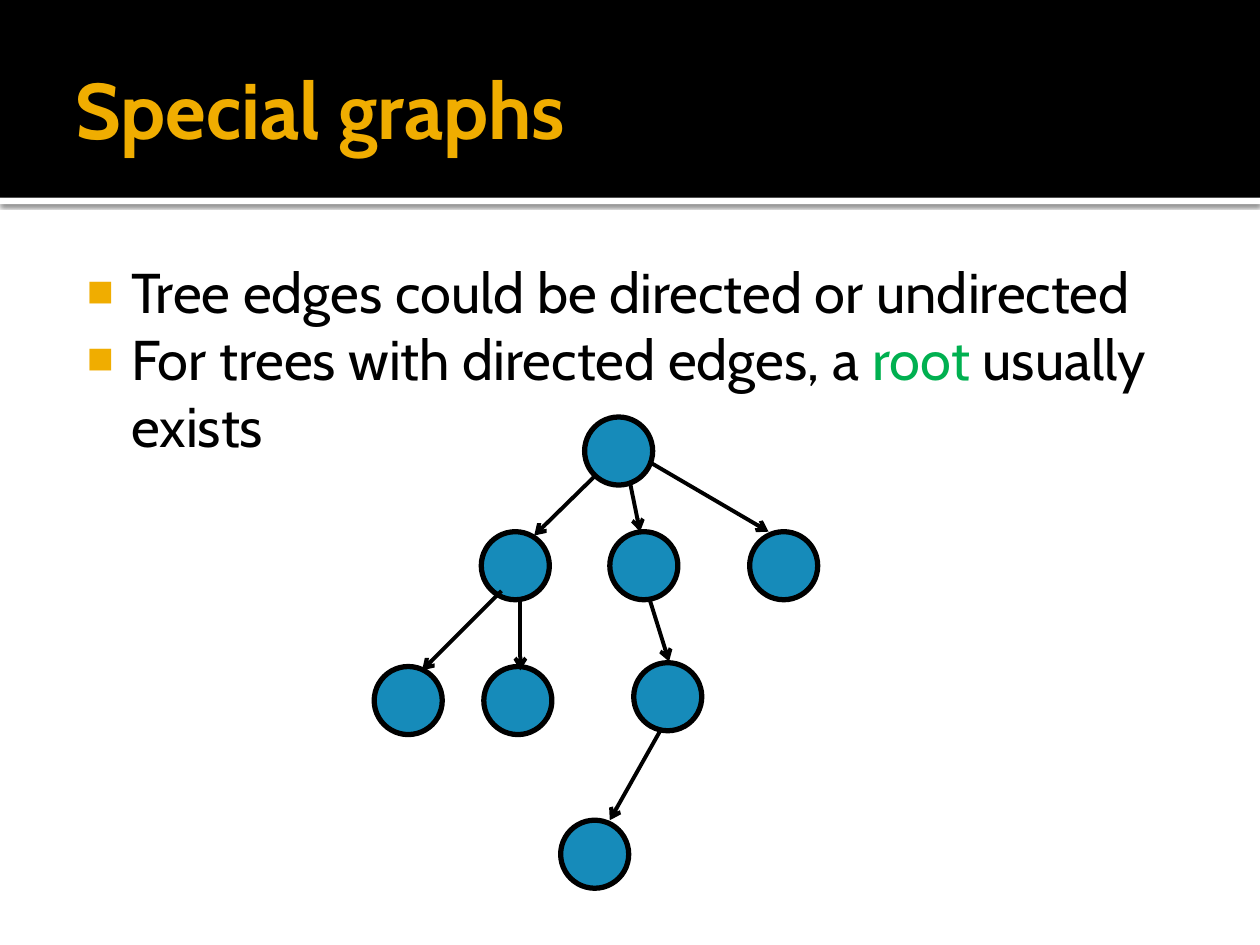
from dataclasses import dataclass

from lxml import etree
from pptx import Presentation
from pptx.dml.color import RGBColor
from pptx.enum.shapes import MSO_CONNECTOR, MSO_SHAPE
from pptx.enum.text import MSO_ANCHOR, MSO_AUTO_SIZE, PP_ALIGN
from pptx.oxml import parse_xml
from pptx.oxml.ns import nsdecls, qn
from pptx.util import Inches, Pt


@dataclass(frozen=True)
class Theme:
    font: str = "Cabin"
    title_size: int = 45
    body_size: int = 32
    accent: str = "F0AD00"
    highlight: str = "00B050"
    node: str = "168BBA"
    black: str = "000000"
    white: str = "FFFFFF"
    node_line: float = 3
    edge_line: float = 2.25


THEME = Theme()
NODE_SIZE = 0.54

BULLETS = [
    [("Tree edges could be directed or undirected", THEME.black)],
    [
        ("For trees with directed edges, a ", THEME.black),
        ("root", THEME.highlight),
        (" usually exists", THEME.black),
    ],
]

# Left and top of each tree node, level by level
NODES = [
    (4.64, 3.31),
    (3.82, 4.22), (4.84, 4.22), (5.95, 4.22),
    (2.97, 5.29), (3.84, 5.29), (5.03, 5.26),
    (4.45, 6.51),
]

# Start and end point of each directed edge
EDGES = [
    ((4.72, 3.78), (4.24, 4.25)),
    ((5, 3.83), (5.08, 4.22)),
    ((5.16, 3.67), (6.1, 4.22)),
    ((3.98, 4.69), (3.35, 5.32)),
    ((4.13, 4.77), (4.13, 5.32)),
    ((5.16, 4.77), (5.31, 5.25)),
    ((5.24, 5.8), (4.84, 6.51)),
]


def color(value):
    return RGBColor.from_string(value)


def add_solid(page, kind, left, top, width, height, fill):
    shape = page.shapes.add_shape(
        kind, Inches(left), Inches(top), Inches(width), Inches(height))
    shape.shadow.inherit = False
    shape.fill.solid()
    shape.fill.fore_color.rgb = color(fill)
    return shape


def add_band(page, top, height, fill, position):
    """Add a full-width bar at the given place in the back of the slide."""
    band = add_solid(page, MSO_SHAPE.RECTANGLE, 0, top, 10, height, fill)
    band.line.fill.background()
    band.element.getparent().insert(position, band.element)
    return band


def add_drop_shadow(shape):
    effects = shape.element.spPr.find(qn("a:effectLst"))
    effects.append(parse_xml(
        f'<a:outerShdw {nsdecls("a")} blurRad="{Pt(2.5)}" dist="{Pt(0.8)}" '
        f'dir="5400000" algn="t" rotWithShape="0"><a:srgbClr val="{THEME.black}">'
        '<a:alpha val="60000"/></a:srgbClr></a:outerShdw>'))


def place_frame(box, bounds, insets, anchor):
    box.left, box.top, box.width, box.height = map(Inches, bounds)
    frame = box.text_frame
    (frame.margin_left, frame.margin_top,
     frame.margin_right, frame.margin_bottom) = map(Inches, insets)
    frame.vertical_anchor = anchor
    frame.word_wrap = True
    frame.auto_size = MSO_AUTO_SIZE.NONE
    return frame


def style_paragraph(para, size, bold=False):
    para.alignment = PP_ALIGN.LEFT
    para.space_before = Pt(0)
    para.font.name = THEME.font
    para.font.size = Pt(size)
    para.font.bold = bold


def add_bullet(para):
    properties = para._p.get_or_add_pPr()
    properties.set("marL", str(Inches(0.48)))
    properties.set("indent", str(Inches(-0.35)))
    bullet_color = etree.SubElement(properties, qn("a:buClr"))
    etree.SubElement(bullet_color, qn("a:srgbClr"), val=THEME.accent)
    etree.SubElement(properties, qn("a:buSzPct"), val="80000")
    etree.SubElement(properties, qn("a:buChar"), char="■")


def write_title(page):
    frame = place_frame(page.shapes.title, (0.5, 0.17, 9, 1.37),
                        (0.1, 0.05, 0.05, 0.05), MSO_ANCHOR.MIDDLE)
    frame.text = "Special graphs"
    para = frame.paragraphs[0]
    style_paragraph(para, THEME.title_size, bold=True)
    para.font.color.rgb = color(THEME.accent)


def write_bullets(page):
    frame = place_frame(page.placeholders[1], (0.5, 1.94, 9, 5.06),
                        (0.06, 0.1, 0.1, 0.05), MSO_ANCHOR.TOP)
    for index, spans in enumerate(BULLETS):
        para = frame.add_paragraph() if index else frame.paragraphs[0]
        add_bullet(para)
        style_paragraph(para, THEME.body_size)
        for text, text_color in spans:
            span = para.add_run()
            span.text = text
            span.font.color.rgb = color(text_color)


def add_node(page, left, top):
    node = add_solid(page, MSO_SHAPE.OVAL, left, top,
                     NODE_SIZE, NODE_SIZE, THEME.node)
    node.line.color.rgb = color(THEME.black)
    node.line.width = Pt(THEME.node_line)


def add_edge(page, start, end):
    edge = page.shapes.add_connector(
        MSO_CONNECTOR.STRAIGHT, *map(Inches, start + end))
    edge.line.color.rgb = color(THEME.black)
    edge.line.width = Pt(THEME.edge_line)
    etree.SubElement(edge.line._get_or_add_ln(), qn("a:tailEnd"), type="arrow")
    etree.SubElement(edge.element.spPr, qn("a:effectLst"))


def main():
    deck = Presentation()
    deck.slide_width, deck.slide_height = Inches(10), Inches(7.5)
    page = deck.slides.add_slide(deck.slide_layouts[1])
    add_drop_shadow(add_band(page, 1.57, 0.05, THEME.white, position=2))
    add_band(page, 0, 1.57, THEME.black, position=3)
    write_title(page)
    write_bullets(page)
    for left, top in NODES:
        add_node(page, left, top)
    for start, end in EDGES:
        add_edge(page, start, end)
    deck.save("out.pptx")


if __name__ == "__main__":
    main()
